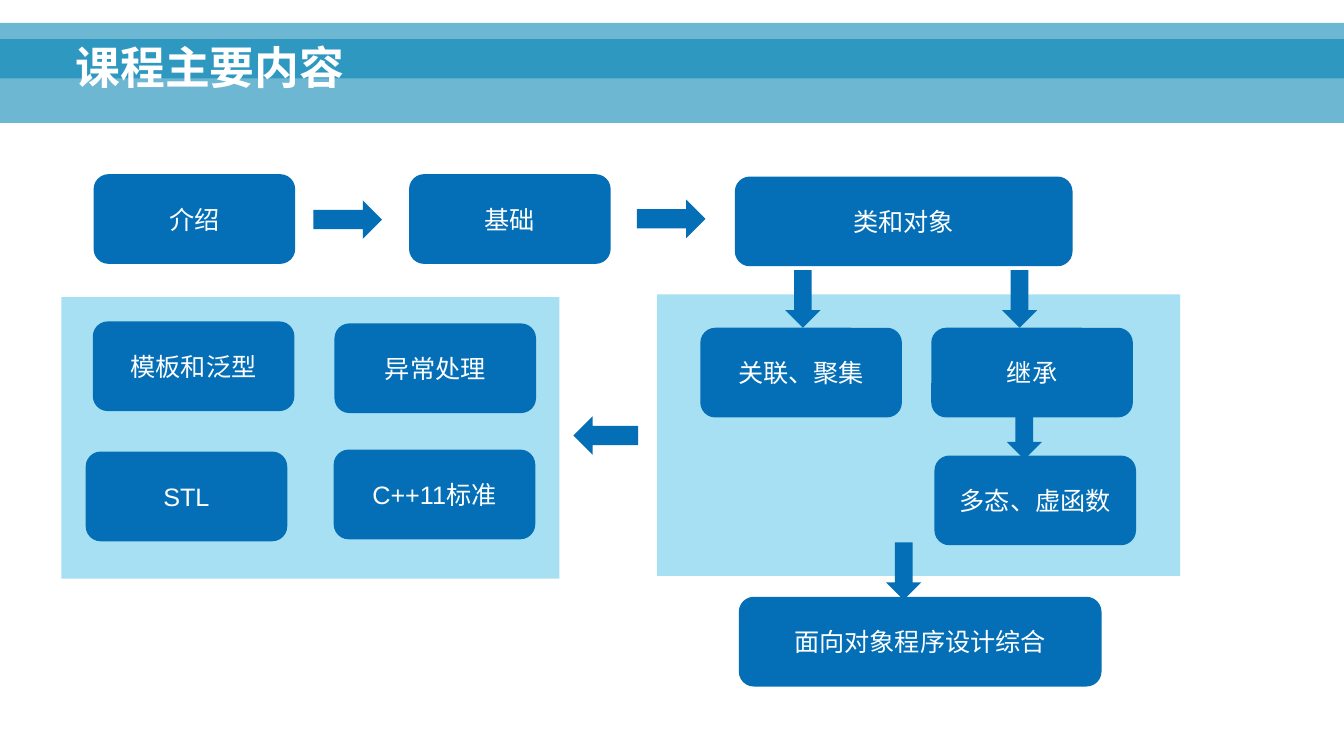
from lxml import etree
from pptx import Presentation
from pptx.dml.color import RGBColor
from pptx.enum.shapes import MSO_SHAPE
from pptx.enum.text import MSO_ANCHOR, MSO_AUTO_SIZE, PP_ALIGN
from pptx.oxml.ns import qn
from pptx.util import Cm, Pt

RECTANGLE = MSO_SHAPE.RECTANGLE
ROUNDED = MSO_SHAPE.ROUNDED_RECTANGLE
RIGHT, LEFT, DOWN = MSO_SHAPE.RIGHT_ARROW, MSO_SHAPE.LEFT_ARROW, MSO_SHAPE.DOWN_ARROW
CENTER, MIDDLE, BOTTOM = PP_ALIGN.CENTER, MSO_ANCHOR.MIDDLE, MSO_ANCHOR.BOTTOM

COLORS = {"band": "0082B3", "panel": "A7E0F2", "topic": "046FB6", "text": "FFFFFF"}
FONT = "Arial"
PAGE_WIDTH, PAGE_HEIGHT = 33.87, 19.05
TOPIC_WIDTH, TOPIC_HEIGHT = 5.08, 2.26
BAND_OPACITY = 57

TITLE = "课程主要内容"
BANDS = [(0.99, 2.11), (0.58, 1.4)]
PANELS = [(1.55, 7.49, 12.55, 7.09), (16.56, 7.42, 13.18, 7.09)]
TOPICS = [
    ("介绍", 2.36, 4.39, TOPIC_WIDTH),
    ("基础", 10.31, 4.39, TOPIC_WIDTH),
    ("类和对象", 18.52, 4.45, 8.51),
    ("关联、聚集", 17.65, 8.26, TOPIC_WIDTH),
    ("继承", 23.47, 8.26, TOPIC_WIDTH),
    ("多态、虚函数", 23.55, 11.48, TOPIC_WIDTH),
    ("面向对象程序设计综合", 18.62, 15.04, 9.14),
    ("模板和泛型", 2.34, 8.1, TOPIC_WIDTH),
    ("异常处理", 8.43, 8.15, TOPIC_WIDTH),
    ("STL", 2.16, 11.38, TOPIC_WIDTH),
    ("C++11标准", 8.41, 11.33, TOPIC_WIDTH),
]
ARROW_SIZES = {RIGHT: (1.73, 0.97), LEFT: (1.63, 0.97), DOWN: (0.89, 1.45)}
ARROWS = [
    (RIGHT, 7.9, 5.05),
    (RIGHT, 16.05, 5.03),
    (LEFT, 14.45, 10.49),
    (DOWN, 19.79, 6.81),
    (DOWN, 25.25, 6.81),
    (DOWN, 25.37, 10.13),
    (DOWN, 22.33, 13.67),
]


def add_filled(page, kind, left, top, width, height, color):
    shape = page.shapes.add_shape(kind, Cm(left), Cm(top), Cm(width), Cm(height))
    shape.shadow.inherit = False
    shape.fill.solid()
    shape.fill.fore_color.rgb = RGBColor.from_string(COLORS[color])
    shape.line.fill.background()
    return shape


def write(shape, text, size, anchor, align=None, bold=False):
    frame = shape.text_frame
    frame.text = text
    frame.word_wrap = True
    frame.vertical_anchor = anchor
    paragraph = frame.paragraphs[0]
    paragraph.alignment = align
    font = paragraph.font
    font.name, font.size, font.bold = FONT, Pt(size), bold
    font.color.rgb = RGBColor.from_string(COLORS["text"])
    return paragraph


deck = Presentation()
deck.slide_width, deck.slide_height = Cm(PAGE_WIDTH), Cm(PAGE_HEIGHT)
page = deck.slides.add_slide(deck.slide_layouts[5])

for top, height in BANDS:
    band = add_filled(page, RECTANGLE, 0, top, PAGE_WIDTH, height, "band")
    color = band.element.spPr.find(qn("a:solidFill"))[0]
    etree.SubElement(color, qn("a:alpha")).set("val", str(BAND_OPACITY * 1000))

for panel in PANELS:
    add_filled(page, RECTANGLE, *panel, "panel")

title = page.shapes.title
title.left, title.top, title.width, title.height = Cm(1.65), Cm(0.3), Cm(30.43), Cm(2.21)
heading = write(title, TITLE, 32, BOTTOM, PP_ALIGN.LEFT, True)
heading.line_spacing = 0.9
title.text_frame.auto_size = MSO_AUTO_SIZE.NONE
title.element.getparent().append(title.element)

for text, left, top, width in TOPICS:
    topic = add_filled(page, ROUNDED, left, top, width, TOPIC_HEIGHT, "topic")
    write(topic, text, 18, MIDDLE, CENTER)

for kind, left, top in ARROWS:
    add_filled(page, kind, left, top, *ARROW_SIZES[kind], "topic")

deck.save("out.pptx")
